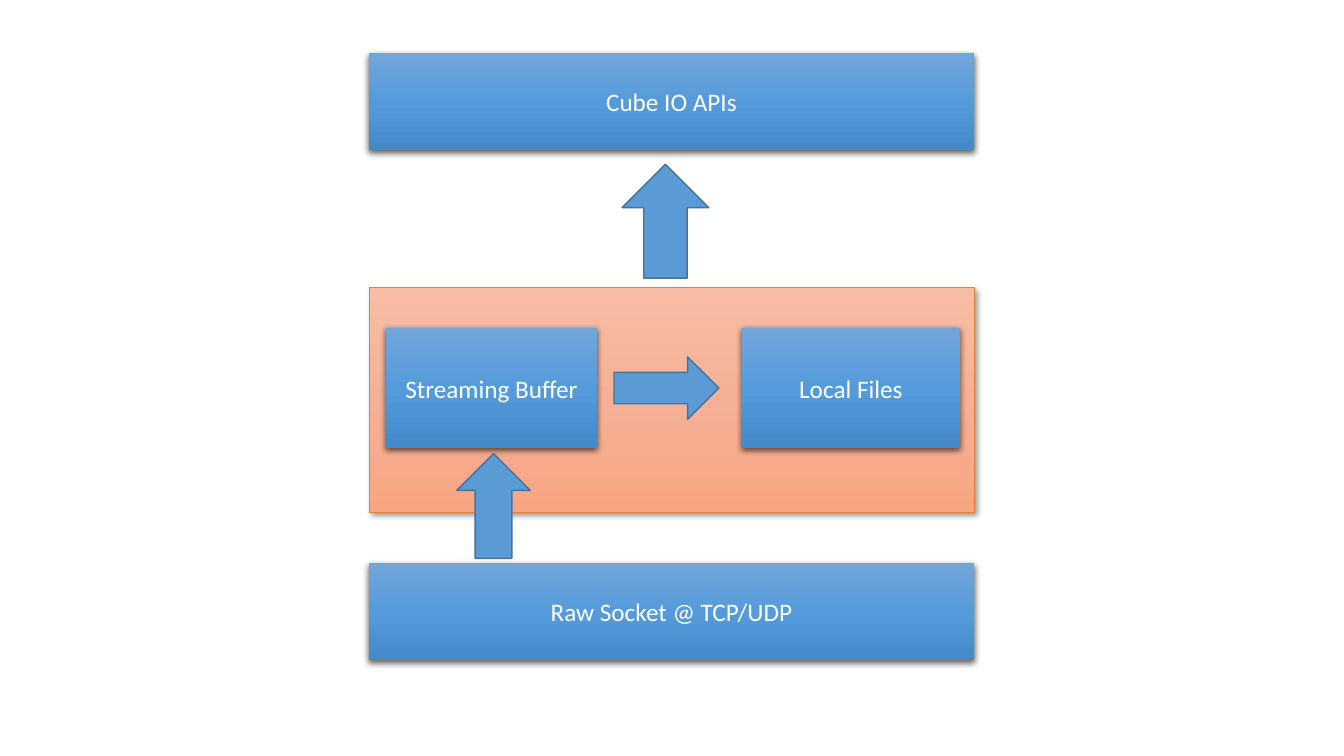
"""Build a slide showing how socket data flows up to the IO layer."""
from copy import deepcopy

from pptx import Presentation
from pptx.dml.color import RGBColor
from pptx.enum.shapes import MSO_SHAPE as Kind
from pptx.enum.text import MSO_ANCHOR as Anchor, PP_ALIGN as Align
from pptx.oxml import parse_xml
from pptx.oxml.ns import nsdecls, qn
from pptx.util import Inches, Pt

WHITE = RGBColor(0xFF, 0xFF, 0xFF)
BLUE = RGBColor(0x5B, 0x9B, 0xD5)
NAVY = RGBColor(0x43, 0x73, 0x9E)
ORANGE = RGBColor(0xED, 0x7D, 0x31)
BLUES = [RGBColor(0x71, 0xA6, 0xDB), RGBColor(0x55, 0x9B, 0xDB), RGBColor(0x44, 0x8A, 0xCA)]
PEACHES = [RGBColor(0xF7, 0xBD, 0xA5), RGBColor(0xF5, 0xB1, 0x96), RGBColor(0xF8, 0xA5, 0x82)]

LEFT, WIDTH = 3.66, 6
BAR, CELL = 0.96, 1.2
ROW = 3.25
PANEL = (LEFT, 2.85, WIDTH, 2.23)
BOXES = [
    ("Raw Socket @ TCP/UDP", (LEFT, 5.59, WIDTH, BAR)),
    ("Streaming Buffer", (3.83, ROW, 2.09, CELL)),
    ("Cube IO APIs", (LEFT, 0.53, WIDTH, BAR)),
    ("Local Files", (7.36, ROW, 2.16, CELL)),
]
ARROWS = [
    (Kind.UP_ARROW, (4.53, 4.5, 0.73, 1.04)),
    (Kind.RIGHT_ARROW, (6.09, 3.54, 1.04, 0.62)),
    (Kind.UP_ARROW, (6.17, 1.63, 0.86, 1.13)),
]
SOFT = {"alpha": 40, "blur": 4, "dist": 3, "angle": 45}
DEEP = {"alpha": 63, "blur": 4.5, "dist": 1.5, "angle": 90}
FONT = {"name": "Calibri", "size": Pt(18)}


def add(slide, kind, place):
    shape = slide.shapes.add_shape(kind, *map(Inches, place))
    shape.shadow.inherit = False
    return shape


def outline(shape, color, width):
    shape.line.color.rgb = color
    shape.line.width = Pt(width)


def shade(shape, colors):
    shape.fill.gradient()
    shape.fill.gradient_angle = 270
    stops = shape._element.spPr.find(qn("a:gradFill")).find(qn("a:gsLst"))
    stops.append(deepcopy(stops[0]))
    for i, (stop, color) in enumerate(zip(shape.fill.gradient_stops, colors)):
        stop.position = i / (len(colors) - 1)
        stop.color.rgb = color


def cast(shape, alpha, blur, dist, angle):
    shape._element.spPr.find(qn("a:effectLst")).append(parse_xml(
        f'<a:outerShdw {nsdecls("a")} blurRad="{Pt(blur)}" dist="{Pt(dist)}" '
        f'dir="{angle * 60000}" algn="ctr" rotWithShape="0">'
        f'<a:srgbClr val="000000"><a:alpha val="{alpha * 1000}"/></a:srgbClr>'
        '</a:outerShdw>'))


def write(shape, text):
    frame = shape.text_frame
    frame.word_wrap = True
    frame.vertical_anchor = Anchor.MIDDLE
    para = frame.paragraphs[0]
    para.alignment = Align.CENTER
    run = para.add_run()
    run.text = text
    for key, value in FONT.items():
        setattr(run.font, key, value)
    run.font.color.rgb = WHITE


def main():
    deck = Presentation()
    deck.slide_width, deck.slide_height = Inches(13.33), Inches(7.5)
    slide = deck.slides.add_slide(deck.slide_layouts[6])

    panel = add(slide, Kind.RECTANGLE, PANEL)
    shade(panel, PEACHES)
    outline(panel, ORANGE, 0.5)
    cast(panel, **SOFT)

    for text, place in BOXES:
        box = add(slide, Kind.RECTANGLE, place)
        shade(box, BLUES)
        box.line.fill.background()
        cast(box, **DEEP)
        write(box, text)

    for kind, place in ARROWS:
        arrow = add(slide, kind, place)
        arrow.fill.solid()
        arrow.fill.fore_color.rgb = BLUE
        outline(arrow, NAVY, 1)

    deck.save("out.pptx")


if __name__ == "__main__":
    main()
